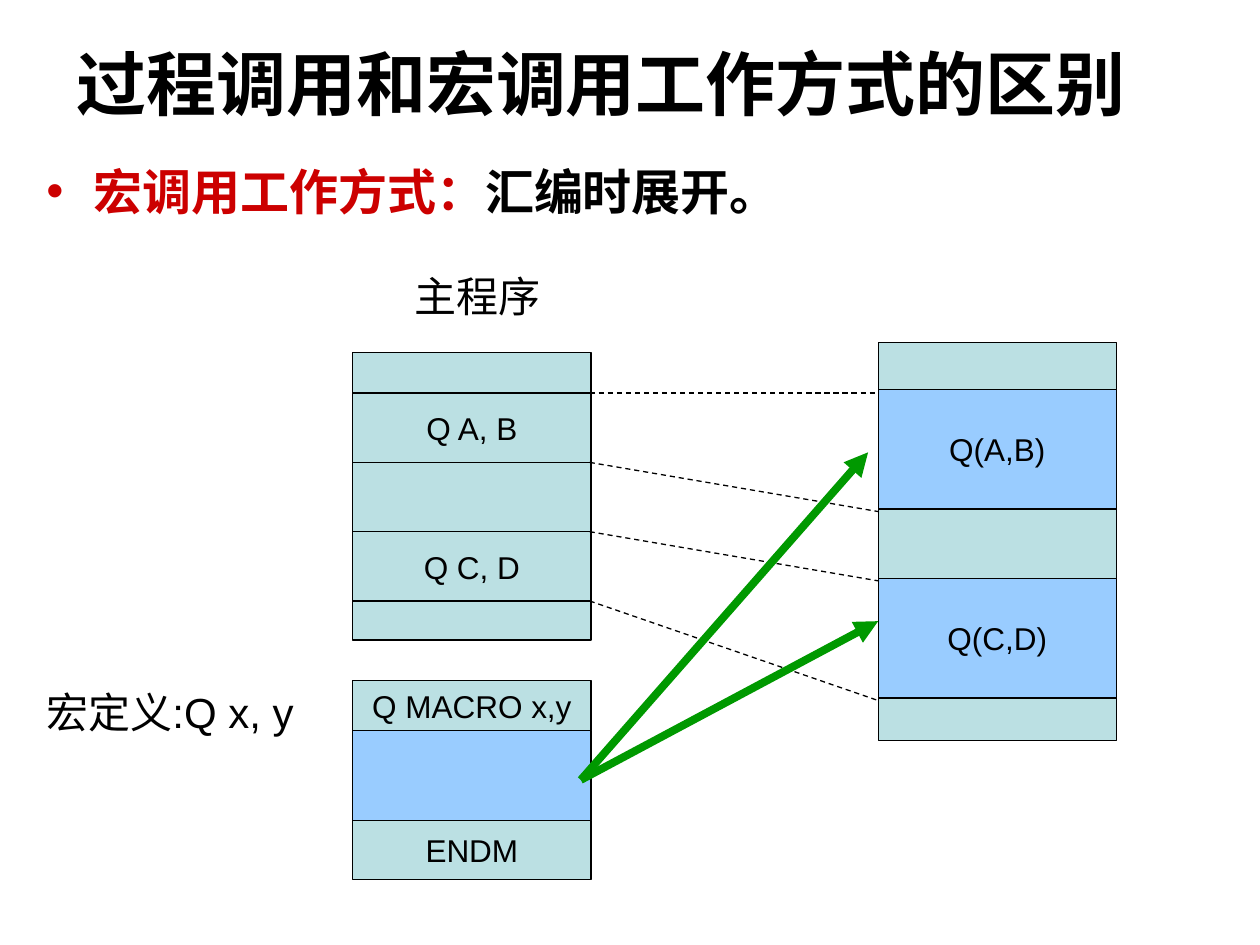
from itertools import accumulate

from lxml import etree
from pptx import Presentation
from pptx import util as u
from pptx.dml.color import RGBColor
from pptx.enum import dml, shapes, text
from pptx.oxml.ns import qn

COLORS = {"ink": "000000", "red": "CC0000", "code": "BBE0E3",
          "macro": "99CCFF", "arrow": "009900"}
FONT = "Arial"
COLUMNS, ROWS = 100, 75
WIDTH, HEIGHT = u.Inches(10), u.Inches(7.5)
STACK_WIDTH = 18.9


def color(name):
    return RGBColor.from_string(COLORS[name])


def across(columns):
    return round(WIDTH * columns / COLUMNS)


def down(rows):
    return round(HEIGHT * rows / ROWS)


def place(box):
    left, top, width, height = box
    return across(left), down(top), across(width), down(height)


def set_font(font, size, bold=False):
    font.name, font.size, font.bold = FONT, u.Pt(size), bold
    font.color.rgb = color("ink")


def add_text(page, box, words, size, bold=False, wrap=True):
    frame = page.shapes.add_textbox(*place(box)).text_frame
    frame.word_wrap = wrap
    para = frame.paragraphs[0]
    para.text = words
    set_font(para.font, size, bold)
    return frame


def add_title(page, box):
    frame = add_text(page, box, "过程调用和宏调用工作方式的区别", 40, True)
    frame.vertical_anchor = text.MSO_ANCHOR.MIDDLE
    frame.paragraphs[0].alignment = text.PP_ALIGN.CENTER


def add_bullet(page, box):
    frame = page.shapes.add_textbox(*place(box)).text_frame
    frame.word_wrap = True
    para = frame.paragraphs[0]
    properties = para._p.get_or_add_pPr()
    indent = across(3.75)
    properties.set("marL", str(indent))
    properties.set("indent", str(-indent))
    etree.SubElement(properties, qn("a:buFont"), typeface=FONT)
    etree.SubElement(properties, qn("a:buChar"), char="•")
    set_font(para.font, 28, True)
    for words, name in (("宏调用工作方式：", "red"), ("汇编时展开。", "ink")):
        span = para.add_run()
        span.text = words
        set_font(span.font, 28, True)
        span.font.color.rgb = color(name)


def add_stack(page, left, top, cells):
    tops = accumulate((height for height, _, _ in cells), initial=top)
    for cell_top, (height, fill, words) in zip(tops, cells):
        cell = page.shapes.add_shape(
            shapes.MSO_SHAPE.RECTANGLE,
            *place((left, cell_top, STACK_WIDTH, height)))
        cell.shadow.inherit = False
        cell.fill.solid()
        cell.fill.fore_color.rgb = color(fill)
        cell.line.color.rgb = color("ink")
        cell.line.width = u.Pt(0.75)
        if words:
            frame = cell.text_frame
            frame.word_wrap = False
            frame.vertical_anchor = text.MSO_ANCHOR.MIDDLE
            para = frame.paragraphs[0]
            para.text = words
            para.alignment = text.PP_ALIGN.CENTER
            set_font(para.font, 18)


def add_line(page, start, end, name, weight):
    line = page.shapes.add_connector(
        shapes.MSO_CONNECTOR.STRAIGHT,
        across(start[0]), down(start[1]), across(end[0]), down(end[1]))
    line.line.color.rgb = color(name)
    line.line.width = u.Pt(weight)
    etree.SubElement(line._element.spPr, qn("a:effectLst"))
    return line


def add_expansion_guides(page, left, right, rows):
    for start, end in rows:
        guide = add_line(page, (left, start), (right, end), "ink", 0.75)
        guide.line.dash_style = dml.MSO_LINE.DASH


def add_macro_arrows(page, start, ends):
    for end in ends:
        arrow = add_line(page, start, end, "arrow", 4.5)
        etree.SubElement(arrow.line._get_or_add_ln(), qn("a:tailEnd"),
                         type="triangle")


def main():
    deck = Presentation()
    deck.slide_width, deck.slide_height = WIDTH, HEIGHT
    page = deck.slides.add_slide(deck.slide_layouts[6])

    add_title(page, (2.7, 2.6, 90, 7.9))
    add_bullet(page, (2.7, 12.3, 90, 9.1))
    add_stack(page, 28, 28, [
        (3.2, "code", ""), (5.5, "code", "Q A, B"), (5.5, "code", ""),
        (5.5, "code", "Q C, D"), (3.1, "code", "")])
    add_text(page, (31.9, 21, 12, 5), "主程序", 24, wrap=False)
    add_text(page, (2.7, 54, 21.6, 5), "宏定义:Q x, y", 24)
    add_stack(page, 69.7, 27.2, [
        (3.7, "code", ""), (9.5, "macro", "Q(A,B)"), (5.5, "code", ""),
        (9.5, "macro", "Q(C,D)"), (3.4, "code", "")])
    add_stack(page, 28, 54, [
        (4, "code", "Q MACRO x,y"), (7.1, "macro", ""),
        (4.7, "code", "ENDM")])
    add_expansion_guides(page, 46.8, 69.7, [
        (31.2, 31.2), (36.7, 40.6), (42.2, 46.1), (47.7, 55.6)])
    add_macro_arrows(page, (46.1, 61.9), [(68.9, 35.9), (69.7, 49.3)])

    deck.save("out.pptx")


if __name__ == "__main__":
    main()
